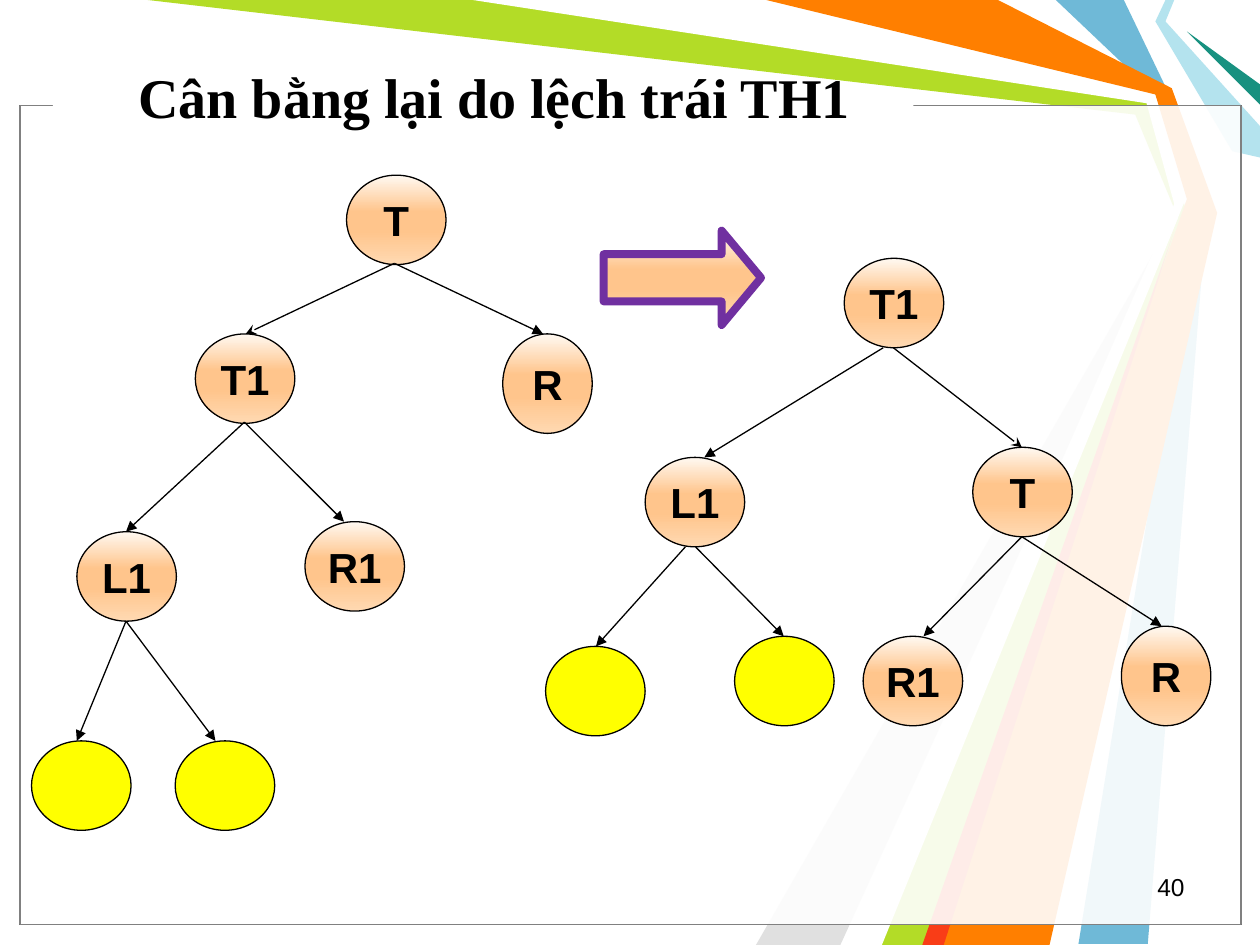
from lxml import etree
from pptx import Presentation
from pptx.dml.color import RGBColor
from pptx.enum.shapes import MSO_CONNECTOR, MSO_SHAPE
from pptx.enum.text import MSO_ANCHOR, PP_ALIGN
from pptx.oxml.ns import qn
from pptx.util import Pt

OVAL, RECTANGLE, ARROW = MSO_SHAPE.OVAL, MSO_SHAPE.RECTANGLE, MSO_SHAPE.RIGHT_ARROW
STRAIGHT = MSO_CONNECTOR.STRAIGHT
LEFT, CENTER, RIGHT = PP_ALIGN.LEFT, PP_ALIGN.CENTER, PP_ALIGN.RIGHT
TOP, MIDDLE = MSO_ANCHOR.TOP, MSO_ANCHOR.MIDDLE
PX = 9144
PEACH = [(0, "FFF9F2"), (41, "FFC58C"), (63, "FFC58C"), (100, "FFD9B2")]


def write_text(shape, text, size=24, font="Arial", bold=True, align=CENTER, anchor=MIDDLE, wrap=False):
    frame = shape.text_frame
    frame.word_wrap = wrap
    frame.vertical_anchor = anchor
    paragraph = frame.paragraphs[0]
    paragraph.alignment = align
    run = paragraph.add_run()
    run.text = text
    run.font.size = Pt(size)
    run.font.name = font
    run.font.bold = bold
    run.font.color.rgb = RGBColor.from_string("000000")


def paint(shape, fill, line=None, width=0.75, opacity=100):
    shape.shadow.inherit = False
    if isinstance(fill, list):
        shape.fill.gradient()
        shape.fill.gradient_angle = 270
        stops = shape._element.spPr.find(qn("a:gradFill")).find(qn("a:gsLst"))
        for stop in list(stops):
            stops.remove(stop)
        for position, color in fill:
            stop = etree.SubElement(stops, qn("a:gs"), pos=str(position * 1000))
            etree.SubElement(stop, qn("a:srgbClr"), val=color)
    else:
        shape.fill.solid()
        shape.fill.fore_color.rgb = RGBColor.from_string(fill)
        if opacity < 100:
            color = shape._element.spPr.find(qn("a:solidFill"))[0]
            etree.SubElement(color, qn("a:alpha"), val=str(opacity * 1000))
    if line:
        shape.line.color.rgb = RGBColor.from_string(line)
        shape.line.width = Pt(width)
    else:
        shape.line.fill.background()


presentation = Presentation()
presentation.slide_width, presentation.slide_height = 1000 * PX, 750 * PX
slide = presentation.slides.add_slide(presentation.slide_layouts[6])
shapes = slide.shapes

ribbons = [
    ("6FB9D7", [(892, 0), (929, 77), (958, 167), (911, 749), (856, 749), (950, 167), (917, 75), (838, 0)]),
    ("B3DC27", [(117, 0), (383, 0), (914, 78), (942, 169), (742, 750), (692, 750), (935, 173), (901, 91)]),
    ("E0E0E0", [(667, 750), (927, 181), (600, 750)]),
    ("FFFFFF", [(375, 0), (910, 82), (932, 162), (675, 750), (700, 750), (941, 158), (917, 75), (600, 0)]),
    ("B4E3EE", [(925, 0), (917, 17), (978, 120), (1000, 125), (1000, 100), (925, 17), (932, 0)]),
    ("189180", [(1000, 83), (942, 25), (1000, 67)]),
    ("FF7F00", [(608, 0), (792, 0), (930, 70), (966, 169), (833, 750), (733, 750), (942, 158), (917, 75)]),
    ("F93D17", [(732, 750), (932, 183), (749, 750)]),
]
for color, points in ribbons:
    builder = shapes.build_freeform(*points[0], scale=PX)
    builder.add_line_segments(points[1:], close=True)
    paint(builder.convert_to_shape(), color)

for color in ("000000", "808080"):
    frame_panel = shapes.add_shape(RECTANGLE, 16 * PX, 84 * PX, 969 * PX, 650 * PX)
    paint(frame_panel, "FFFFFF", color, opacity=69)
title_strip = shapes.add_shape(RECTANGLE, 42 * PX, 74 * PX, 683 * PX, 17 * PX)
paint(title_strip, "FFFFFF")

title = shapes.add_textbox(100 * PX, 50 * PX, 689 * PX, 53 * PX)
write_text(title, "Cân bằng lại do lệch trái TH1", size=32, font="Times New Roman", align=LEFT, wrap=True)
page_number = shapes.add_textbox(717 * PX, 687 * PX, 233 * PX, 33 * PX)
write_text(page_number, "40", size=14, bold=False, align=RIGHT, anchor=TOP, wrap=True)

LONG, SHORT = 79, 71
nodes = [
    ("T", 275, 139), ("R", 399, 265), ("T1", 155, 265), ("R1", 242, 414),
    ("L1", 61, 422), ("", 139, 588), ("", 25, 588),
    ("T", 772, 355), ("R", 890, 497), ("T1", 670, 205), ("R1", 685, 505),
    ("L1", 512, 363), ("", 583, 505), ("", 433, 513),
]
for label, left, top in nodes:
    width, height = (SHORT, LONG) if label == "R" else (LONG, SHORT)
    node = shapes.add_shape(OVAL, left * PX, top * PX, width * PX, height * PX)
    paint(node, PEACH if label else "FFFF00", "000000")
    if label:
        write_text(node, label)

edges = [
    (313, 209, 195, 265, "stealth"), (313, 209, 431, 265, "triangle"),
    (194, 335, 273, 414, "triangle"), (194, 335, 100, 422, "triangle"),
    (100, 493, 61, 588, "triangle"), (100, 493, 171, 588, "triangle"),
    (709, 276, 811, 355, "stealth"), (811, 426, 922, 497, "triangle"),
    (811, 426, 733, 505, "triangle"), (701, 276, 559, 363, "triangle"),
    (544, 434, 473, 513, "triangle"), (552, 434, 622, 505, "triangle"),
]
for start_x, start_y, end_x, end_y, head in edges:
    edge = shapes.add_connector(STRAIGHT, start_x * PX, start_y * PX, end_x * PX, end_y * PX)
    edge.line.color.rgb = RGBColor.from_string("000000")
    edge.line.width = Pt(0.75)
    etree.SubElement(edge.line._get_or_add_ln(), qn("a:tailEnd"), type=head)
    etree.SubElement(edge._element.spPr, qn("a:effectLst"))

arrow = shapes.add_shape(ARROW, 479 * PX, 183 * PX, 125 * PX, 75 * PX)
arrow.adjustments[0], arrow.adjustments[1] = 0.5, 0.417
paint(arrow, PEACH, "7030A0", width=4.5)

presentation.save("out.pptx")
